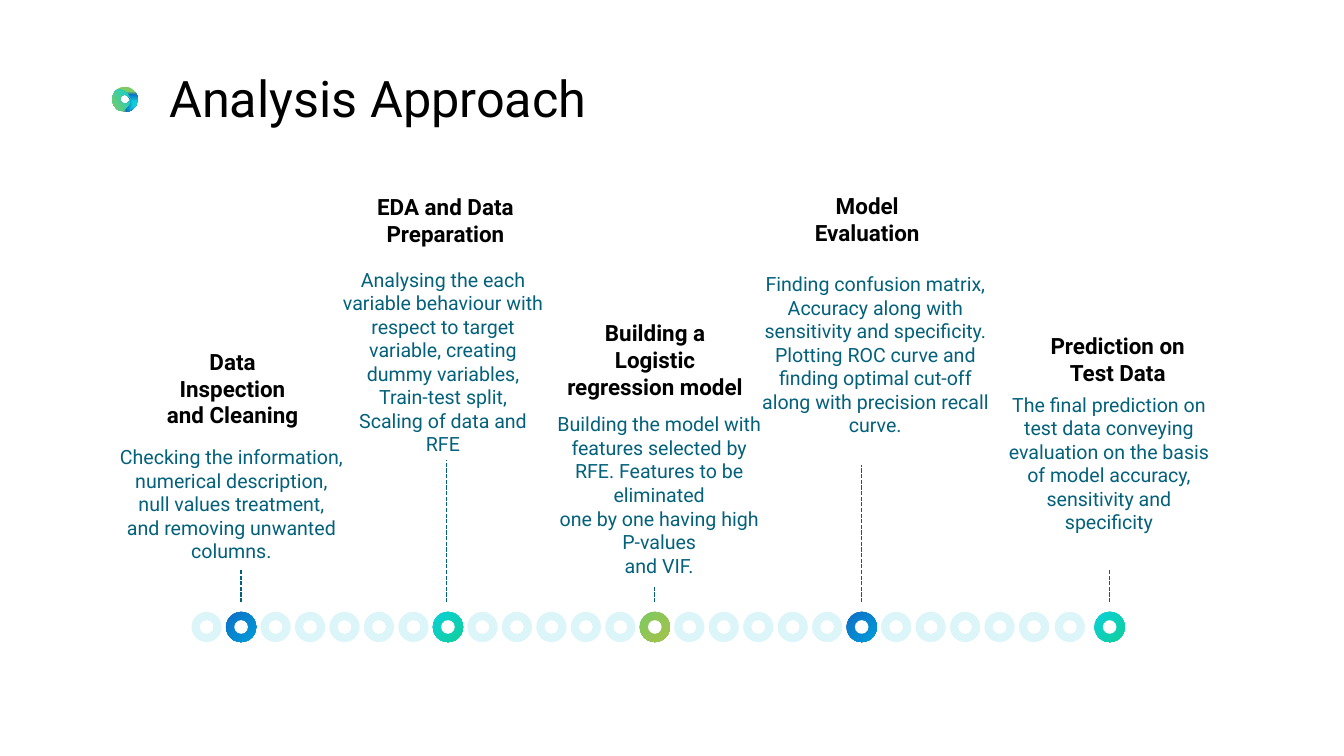
from math import cos, radians, sin

from lxml import etree
from pptx import Presentation
from pptx.dml.color import RGBColor
from pptx.enum.dml import MSO_LINE
from pptx.enum.shapes import MSO_CONNECTOR, MSO_SHAPE
from pptx.enum.text import MSO_ANCHOR, PP_ALIGN
from pptx.oxml.ns import qn
from pptx.util import Inches, Pt

OVAL, DONUT = MSO_SHAPE.OVAL, MSO_SHAPE.DONUT
STRAIGHT, DASH = MSO_CONNECTOR.STRAIGHT, MSO_LINE.SQUARE_DOT
LEFT, CENTER = PP_ALIGN.LEFT, PP_ALIGN.CENTER
TOP, MIDDLE = MSO_ANCHOR.TOP, MSO_ANCHOR.MIDDLE

FONT = "Roboto"
COLORS = {
    "black": "000000", "white": "FFFFFF", "ink": "04617B", "pale": "DBF5F9",
    "blue": "0F6FC6", "sky": "009DD9", "cyan": "0BD0D9", "teal": "10CF9B",
    "green": "7CCA62", "lime": "A5C249",
}
BLUE, TEAL, GREEN = ("blue", "sky"), ("cyan", "teal"), ("green", "lime")

# Dots: 25 at an even pitch, then two set by hand
DOT, HOLE, DOT_TOP = 0.6, 0.27, 12.14
PITCH = (20.22 - 3.8) / 24
MARKED = {1: BLUE, 7: TEAL, 13: GREEN, 19: BLUE}
PIN_END = 11.95

# Each step: pin x and top, heading box and lines, detail box and lines
STEPS = [
    (4.78, 11.31,
     (3.03, 6.84, 3.17, 1.73), ["Data Inspection", "and Cleaning"],
     (2.18, 8.77, 4.82, 2.47),
     ["Checking the information,", "numerical description,",
      "null values treatment,", "and removing unwanted", "columns."]),
    (8.86, 9.13,
     (7.39, 3.78, 2.9, 1.19), ["EDA and Data", "Preparation"],
     (6.74, 5.25, 4.1, 3.88),
     ["Analysing the each",
      "variable behaviour with respect to target variable, "
      "creating dummy variables, Train-test split,",
      "Scaling of data and RFE"]),
    (12.99, 11.63,
     (11.1, 6.28, 3.8, 1.19), ["Building a Logistic", "regression model"],
     (10.97, 8.12, 4.22, 3.41),
     ["Building the model with features selected by RFE. "
      "Features to be eliminated",
      "one by one having high P-values", "and VIF."]),
    (17.09, 9.22,
     (15.76, 3.75, 2.9, 1.19), ["Model Evaluation"],
     (15.04, 5.34, 4.66, 3.41),
     ["Finding confusion matrix,", "Accuracy along with",
      "sensitivity and specificity.", "Plotting ROC curve and",
      "finding optimal cut-off", "along with precision recall curve."]),
    (22.02, 11.31,
     (20.02, 6.53, 4.32, 1.19), ["Prediction on", "Test Data"],
     (19.82, 7.73, 4.37, 2.94),
     ["The final prediction on", "test data conveying",
      "evaluation on the basis", "of model accuracy,",
      "sensitivity and", "specificity"]),
]


def color(name):
    return RGBColor.from_string(COLORS[name])


def paint(shape, *names, angle=45):
    """Fill with one colour, or with a gradient of two at a clockwise angle."""
    shape.shadow.inherit = False
    shape.line.fill.background()
    if len(names) == 1:
        shape.fill.solid()
        shape.fill.fore_color.rgb = color(names[0])
        return
    shape.fill.gradient()
    shape.fill.gradient_angle = 360 - angle
    for stop, name, place in zip(shape.fill.gradient_stops, names, (0, 1)):
        stop.color.rgb = color(name)
        stop.position = place


def add_text(slide, lines, box, size=28, tint="ink", bold=False,
             align=CENTER, anchor=TOP, wrap=True):
    frame = slide.shapes.add_textbox(*map(Inches, box)).text_frame
    frame.word_wrap = wrap
    frame.vertical_anchor = anchor
    frame.margin_left = frame.margin_right = Inches(0.06)
    frame.margin_top = frame.margin_bottom = Inches(0.06)
    for i, line in enumerate(lines):
        para = frame.add_paragraph() if i else frame.paragraphs[0]
        para.alignment = align
        run = para.add_run()
        run.text = line
        run.font.name = FONT
        run.font.size = Pt(size)
        run.font.bold = bold
        run.font.color.rgb = color(tint)


def add_oval(slide, left, top, size, *names, kind=OVAL):
    box = map(Inches, (left, top, size, size))
    shape = slide.shapes.add_shape(kind, *box)
    paint(shape, *names)
    return shape


def add_dot(slide, left, top, *names):
    gap = (DOT - HOLE) / 2
    add_oval(slide, left, top, DOT, *names)
    add_oval(slide, left + gap, top + gap, HOLE, "white")


def add_pin(slide, x, top):
    ends = map(Inches, (x, PIN_END, x, top))
    pin = slide.shapes.add_connector(STRAIGHT, *ends)
    pin.line.color.rgb = color("ink")
    pin.line.width = Pt(2)
    pin.line.dash_style = DASH
    etree.SubElement(pin._element.spPr, qn("a:effectLst"))


def arc(x, y, radius, start, end, count=24):
    """Points on a circle, with angles in degrees clockwise from the right."""
    turns = [radians(start + (end - start) * i / count)
             for i in range(count + 1)]
    return [(Inches(x + radius * cos(t)), Inches(y + radius * sin(t)))
            for t in turns]


def add_bullet(slide):
    """Ring with a radial gradient, and a lighter crescent over its left."""
    ring = add_oval(slide, 2.23, 1.72, 0.5, "cyan", "green", kind=DONUT)
    ring.adjustments[0] = 0.32
    grad = ring._element.spPr.find(qn("a:gradFill"))
    stops = grad.find(qn("a:gsLst"))
    stops[0].set("pos", "19000")
    mid = etree.Element(qn("a:gs"), pos="75000")
    etree.SubElement(mid, qn("a:srgbClr"), val=COLORS["blue"])
    stops.insert(1, mid)
    radial = etree.Element(qn("a:path"), path="shape")
    etree.SubElement(radial, qn("a:fillToRect"),
                     l="93000", t="69000", r="7000", b="31000")
    grad.replace(grad.find(qn("a:lin")), radial)

    points = (arc(2.48, 1.97, 0.25, 227, 118) + arc(2.37, 1.98, 0.21, 92, 0)
              + arc(2.48, 1.97, 0.09, 0, 345) + arc(2.37, 1.98, 0.2, 350, 270))
    pen = slide.shapes.build_freeform(*points[0], scale=1.0)
    pen.add_line_segments(points[1:], close=True)
    paint(pen.convert_to_shape(), "cyan", "green", angle=150)


def main():
    deck = Presentation()
    deck.slide_width, deck.slide_height = Inches(26.67), Inches(15)
    slide = deck.slides.add_slide(deck.slide_layouts[6])

    add_bullet(slide)
    add_text(slide, ["Analysis Approach"], (3.3, 1.28, 8.57, 1.32), size=72,
             tint="black", align=LEFT, anchor=MIDDLE, wrap=False)
    for i in range(25):
        add_dot(slide, 3.8 + i * PITCH, DOT_TOP, *MARKED.get(i, ("pale",)))
    add_dot(slide, 20.93, DOT_TOP, "pale")
    add_dot(slide, 21.72, DOT_TOP, *TEAL)

    for x, top, head_box, head, body_box, body in STEPS:
        add_pin(slide, x, top)
        add_text(slide, head, head_box, size=32, tint="black", bold=True)
        add_text(slide, body, body_box)
    deck.save("out.pptx")


if __name__ == "__main__":
    main()
